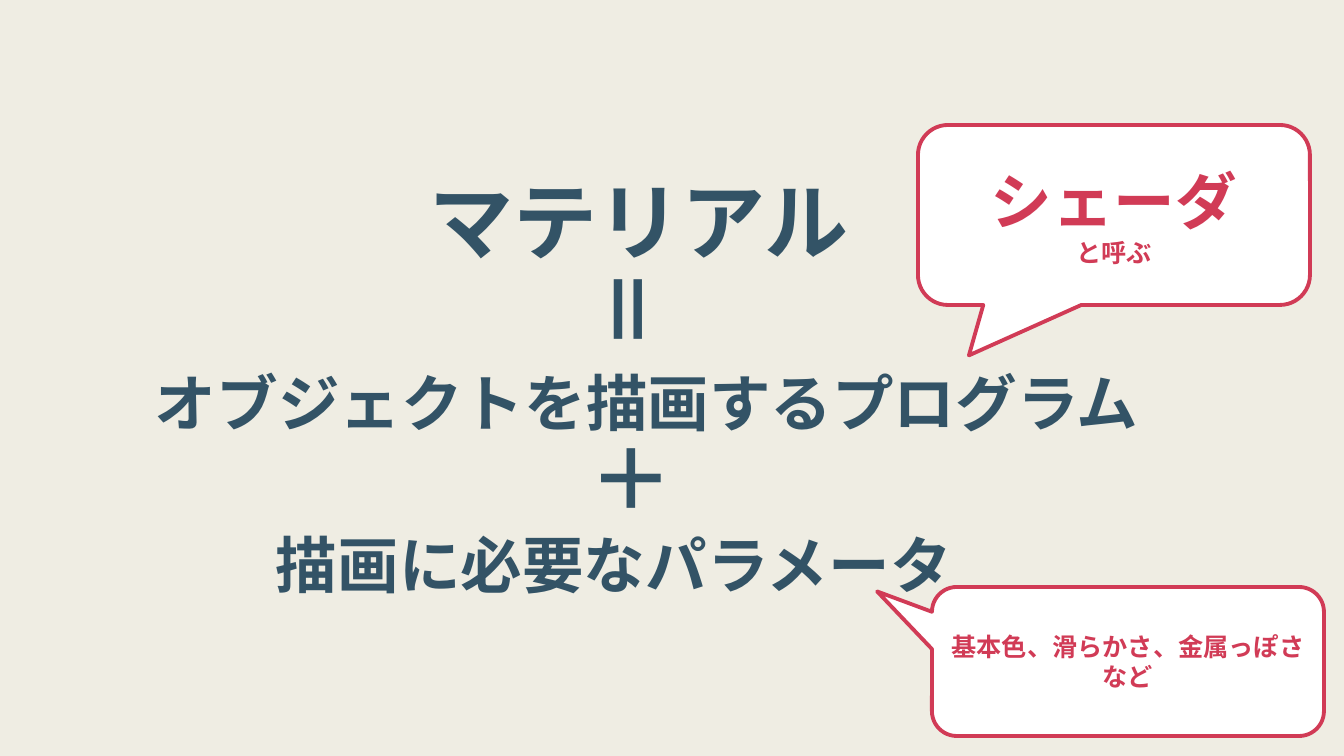
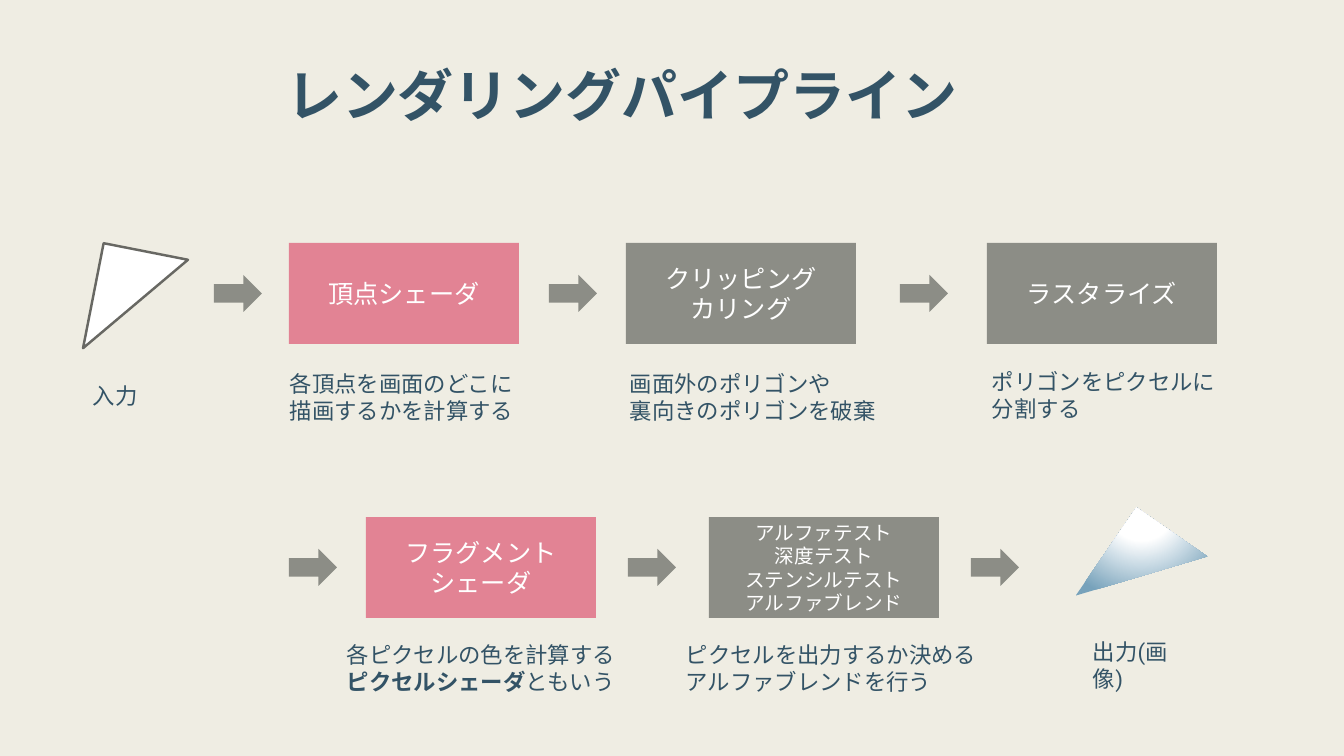
from dataclasses import dataclass

from lxml import etree
from pptx import Presentation, oxml
from pptx import util as u
from pptx.dml.color import RGBColor
from pptx.enum import shapes, text

PX = 914400 / 100.8


@dataclass(frozen=True)
class Theme:
    font: str = "Roboto"
    background: str = "EFEDE3"
    navy: str = "335366"
    red: str = "D13B56"
    pink: str = "E28394"
    gray: str = "8C8D86"
    outline: str = "686863"
    sky: str = "77A2BB"
    white: str = "FFFFFF"
    hero: int = 60
    statement: int = 44
    title: int = 40
    body: int = 18
    caption: int = 16
    small: int = 14


THEME = Theme()
SHAPE = shapes.MSO_SHAPE
LEFT, CENTER = text.PP_ALIGN.LEFT, text.PP_ALIGN.CENTER


def write(shape, lines, size, color=THEME.navy, bold=False, align=LEFT, wrap=False):
    """Fill shape with lines; words between asterisks are bold."""
    frame = shape.text_frame
    frame.word_wrap = wrap
    if align == LEFT:
        frame.auto_size = text.MSO_AUTO_SIZE.SHAPE_TO_FIT_TEXT
        frame.vertical_anchor = text.MSO_ANCHOR.TOP
    else:
        frame.vertical_anchor = text.MSO_ANCHOR.MIDDLE
    for index, line in enumerate(lines):
        paragraph = frame.add_paragraph() if index else frame.paragraphs[0]
        paragraph.alignment = align
        if "*" in line:
            for position, part in enumerate(filter(None, line.split("*"))):
                run = paragraph.add_run()
                run.text = part
                run.font.bold = position % 2 == 0
        else:
            paragraph.text = line
        font = paragraph.font
        font.name, font.size, font.bold = THEME.font, u.Pt(size), bold
        font.color.rgb = RGBColor.from_string(color)


def add_shape(slide, kind, box, fill, line=None, width=0):
    shape = slide.shapes.add_shape(kind, *[round(n * PX) for n in box])
    shape.shadow.inherit = False
    shape.fill.solid()
    shape.fill.fore_color.rgb = RGBColor.from_string(fill)
    if line:
        shape.line.color.rgb = RGBColor.from_string(line)
        shape.line.width = u.Pt(width)
    else:
        shape.line.fill.background()
    return shape


presentation = Presentation()
presentation.slide_width = round(1344 * PX)
presentation.slide_height = round(756 * PX)
background = presentation.slide_master.background.fill
background.solid()
background.fore_color.rgb = RGBColor.from_string(THEME.background)

slides = []
for title_text, box, size in (
    ("マテリアル", (419, 164, 445, 112), THEME.hero),
    ("レンダリングパイプライン", (276, 55, 699, 77), THEME.title),
):
    slide = presentation.slides.add_slide(presentation.slide_layouts[5])
    title = slide.shapes.title
    title.left, title.top, title.width, title.height = [round(n * PX) for n in box]
    write(title, [title_text], size, bold=True)
    slides.append(slide)
material, pipeline = slides

# Material = program + parameters
for words, box, size, rotation in (
    ("オブジェクトを描画するプログラム", (145, 360, 1016, 85), THEME.statement, 0),
    ("＝", (576, 254, 105, 112), THEME.hero, 90),
    ("描画に必要なパラメータ", (266, 522, 705, 85), THEME.statement, 0),
    ("＋", (580, 423, 105, 112), THEME.hero, 90),
):
    label = material.shapes.add_textbox(*[round(n * PX) for n in box])
    label.rotation = rotation
    write(label, [words], size, bold=True)

for lines, box, tail in (
    (["シェーダ", "と呼ぶ"], (918, 125, 392, 180), (-0.37, 0.78)),
    (["基本色、滑らかさ、金属っぽさ\vなど"], (932, 587, 392, 149), (-0.64, -0.47)),
):
    callout = add_shape(material, SHAPE.ROUNDED_RECTANGULAR_CALLOUT, box,
                        THEME.white, THEME.red, 2.75)
    callout.adjustments[0], callout.adjustments[1] = tail
    write(callout, lines, THEME.body, THEME.red, True, CENTER, True)
    if len(lines) > 1:
        callout.text_frame.paragraphs[0].font.size = u.Pt(THEME.statement)

# Rendering pipeline
STAGE_WIDTH, STAGE_HEIGHT = 230, 101
ARROW_WIDTH, ARROW_HEIGHT = 48, 37
ROW_1, ROW_2 = 243, 517

for left, top, fill, size, lines in (
    (289, ROW_1, THEME.pink, THEME.body, ["頂点シェーダ"]),
    (626, ROW_1, THEME.gray, THEME.body, ["クリッピング", "カリング"]),
    (987, ROW_1, THEME.gray, THEME.body, ["ラスタライズ"]),
    (366, ROW_2, THEME.pink, THEME.body, ["フラグメントシェーダ"]),
    (709, ROW_2, THEME.gray, THEME.small,
     ["アルファテスト", "深度テスト", "ステンシルテスト", "アルファブレンド"]),
):
    stage = add_shape(pipeline, SHAPE.RECTANGLE,
                      (left, top, STAGE_WIDTH, STAGE_HEIGHT), fill)
    write(stage, lines, size, THEME.white, align=CENTER, wrap=True)

for row, lefts in ((ROW_1, (214, 549, 900)), (ROW_2, (289, 628, 971))):
    top = row + (STAGE_HEIGHT - ARROW_HEIGHT) / 2
    for left in lefts:
        add_shape(pipeline, SHAPE.RIGHT_ARROW,
                  (left, top, ARROW_WIDTH, ARROW_HEIGHT), THEME.gray)

input_triangle = add_shape(pipeline, SHAPE.RIGHT_TRIANGLE, (82, 261, 107, 86),
                           THEME.white, THEME.outline, 1.75)
input_triangle.rotation = 101.1
output_triangle = add_shape(pipeline, SHAPE.RIGHT_TRIANGLE, (1088, 533, 107, 86),
                            THEME.white)
output_triangle.rotation = 124.6

namespace = "http://schemas.openxmlformats.org/drawingml/2006/main"
gradient = oxml.parse_xml(f'<a:gradFill xmlns:a="{namespace}" rotWithShape="1"/>')
stops = etree.SubElement(gradient, f"{{{namespace}}}gsLst")
for percent, color in ((0, THEME.white), (35, THEME.white), (100, THEME.sky)):
    stop = etree.SubElement(stops, f"{{{namespace}}}gs", pos=str(percent * 1000))
    etree.SubElement(stop, f"{{{namespace}}}srgbClr", val=color)
circle = etree.SubElement(gradient, f"{{{namespace}}}path", path="circle")
etree.SubElement(circle, f"{{{namespace}}}fillToRect",
                 l="50000", t="-80000", r="50000", b="180000")
properties = output_triangle._element.spPr
properties.replace(properties.find(f"{{{namespace}}}solidFill"), gradient)

for left, top, width, lines in (
    (280, 365, 247, ["各頂点を画面のどこに", "描画するかを計算する"]),
    (620, 365, 269, ["画面外のポリゴンや", "裏向きのポリゴンを破棄"]),
    (982, 363, 247, ["ポリゴンをピクセルに", "分割する"]),
    (337, 636, 291, ["各ピクセルの色を計算する", "*ピクセルシェーダ*ともいう"]),
    (676, 636, 314, ["ピクセルを出力するか決める", "アルファブレンドを行う"]),
    (83, 377, 66, ["入力"]),
    (1083, 633, 124, ["出力(画像)"]),
):
    height = 10 + 27 * len(lines)
    caption = pipeline.shapes.add_textbox(
        *[round(n * PX) for n in (left, top, width, height)])
    write(caption, lines, THEME.caption, wrap=lines == ["出力(画像)"])

presentation.save("out.pptx")
